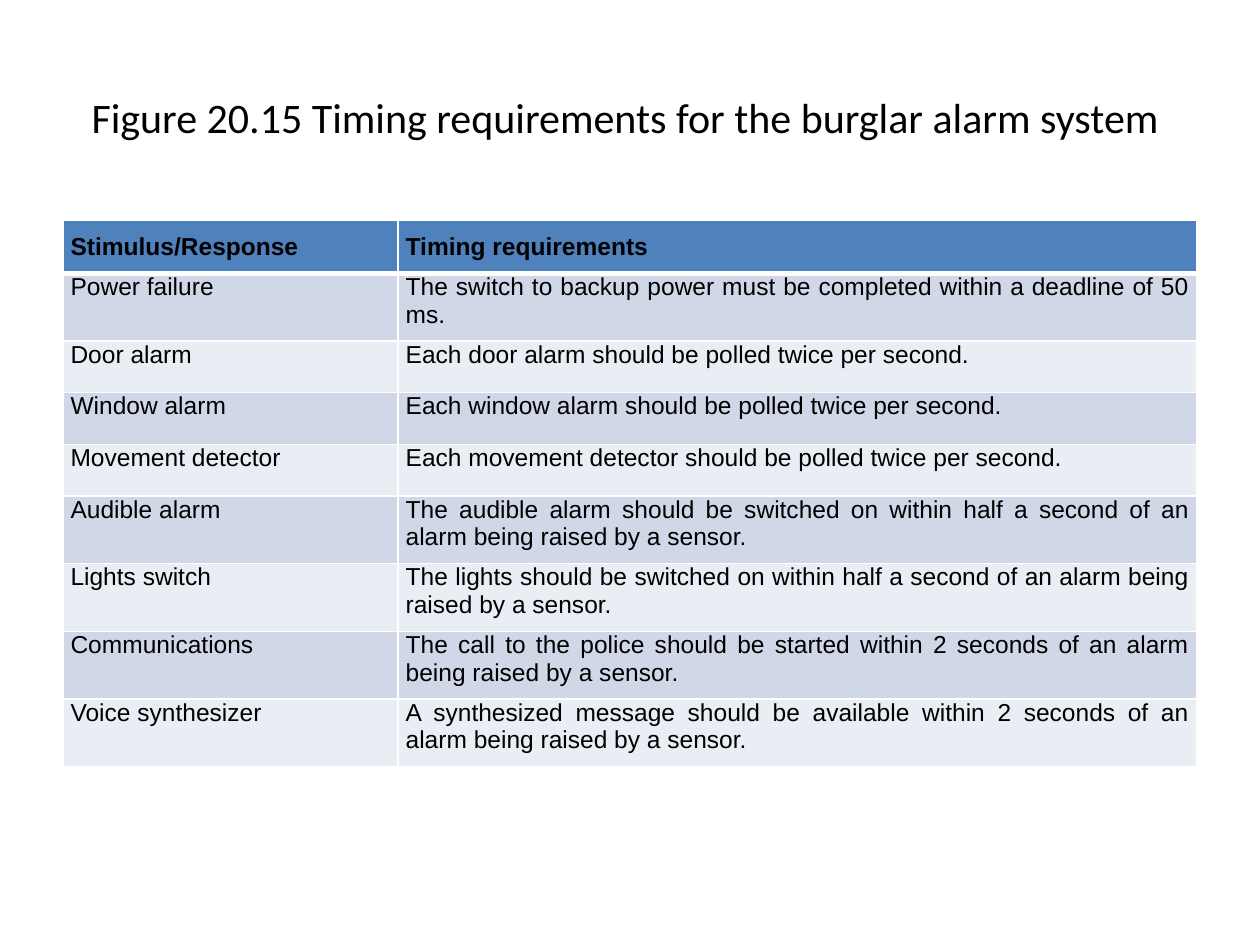
from lxml.etree import SubElement
from pptx import Presentation
from pptx.dml.color import RGBColor
from pptx.enum.text import MSO_ANCHOR as Anchor, PP_ALIGN as Align
from pptx.oxml.ns import qn
from pptx.util import Inches, Pt

BLACK = RGBColor(0x00, 0x00, 0x00)
WHITE = RGBColor(0xFF, 0xFF, 0xFF)
BLUE = RGBColor(0x4F, 0x81, 0xBD)
BANDS = RGBColor(0xD0, 0xD8, 0xE8), RGBColor(0xE9, 0xED, 0xF4)

TITLE = "Figure 20.15 Timing requirements for the burglar alarm system "
ROWS = [
    ("Stimulus/Response", "Timing requirements"),
    ("Power failure", "The switch to backup power must be completed within a deadline of 50 ms."),
    ("Door alarm", "Each door alarm should be polled twice per second."),
    ("Window alarm", "Each window alarm should be polled twice per second."),
    ("Movement detector", "Each movement detector should be polled twice per second."),
    ("Audible alarm", "The audible alarm should be switched on within half a second "
     "of an alarm being raised by a sensor."),
    ("Lights switch", "The lights should be switched on within half a second "
     "of an alarm being raised by a sensor."),
    ("Communications", "The call to the police should be started within 2 seconds "
     "of an alarm being raised by a sensor."),
    ("Voice synthesizer", "A synthesized message should be available within 2 seconds "
     "of an alarm being raised by a sensor."),
]


class Deck:
    def __init__(self):
        self.prs = Presentation()
        self.prs.slide_width, self.prs.slide_height = Inches(10), Inches(7.5)
        self.slide = self.prs.slides.add_slide(self.prs.slide_layouts[5])

    def text(self, frame, words, align, **font):
        para = frame.paragraphs[0]
        para.alignment = align
        run = para.add_run()
        run.text = words
        run.font.color.rgb = BLACK
        for name, value in font.items():
            setattr(run.font, name, value)

    def title(self, words, left, top, width, height):
        shape = self.slide.shapes.title
        box = dict(left=left, top=top, width=width, height=height)
        for name, value in box.items():
            setattr(shape, name, Inches(value))
        shape.text_frame.vertical_anchor = Anchor.MIDDLE
        self.text(shape.text_frame, words, Align.CENTER, name="Calibri", size=Pt(24))

    def edges(self, cell, **widths):
        """Draw white borders; each side is given its width in points."""
        props = cell._tc.get_or_add_tcPr()
        for side, width in widths.items():
            line = SubElement(props, qn(f"a:ln{side}"), w=str(Pt(width)))
            fill = SubElement(line, qn("a:solidFill"))
            SubElement(fill, qn("a:srgbClr"), val=str(WHITE))

    def cell(self, cell, words, row):
        head = row == 0
        margins = dict(left=0.06, right=0.06, top=0.1 if head else 0, bottom=0.1)
        for side, value in margins.items():
            setattr(cell, f"margin_{side}", Inches(value))
        self.edges(cell, L=1, R=1, T=3 if row == 1 else 1, B=3 if head else 1)
        cell.fill.solid()
        cell.fill.fore_color.rgb = BLUE if head else BANDS[(row - 1) % 2]
        self.text(cell.text_frame, words, Align.JUSTIFY,
                  name="Arial", size=Pt(14), bold=head)

    def table(self, rows, left, top, widths, height):
        """Place a table whose rows share one least height."""
        box = map(Inches, (left, top, sum(widths), height * len(rows)))
        grid = self.slide.shapes.add_table(len(rows), len(widths), *box).table
        for col, width in zip(grid.columns, widths):
            col.width = Inches(width)
        for r, row in enumerate(rows):
            for c, words in enumerate(row):
                self.cell(grid.cell(r, c), words, r)


def main():
    deck = Deck()
    deck.title(TITLE, 0.5, 0.3, 9, 1.25)
    deck.table(ROWS, 0.5, 1.75, (2.66, 6.34), 0.41)
    deck.prs.save("out.pptx")


if __name__ == "__main__":
    main()
